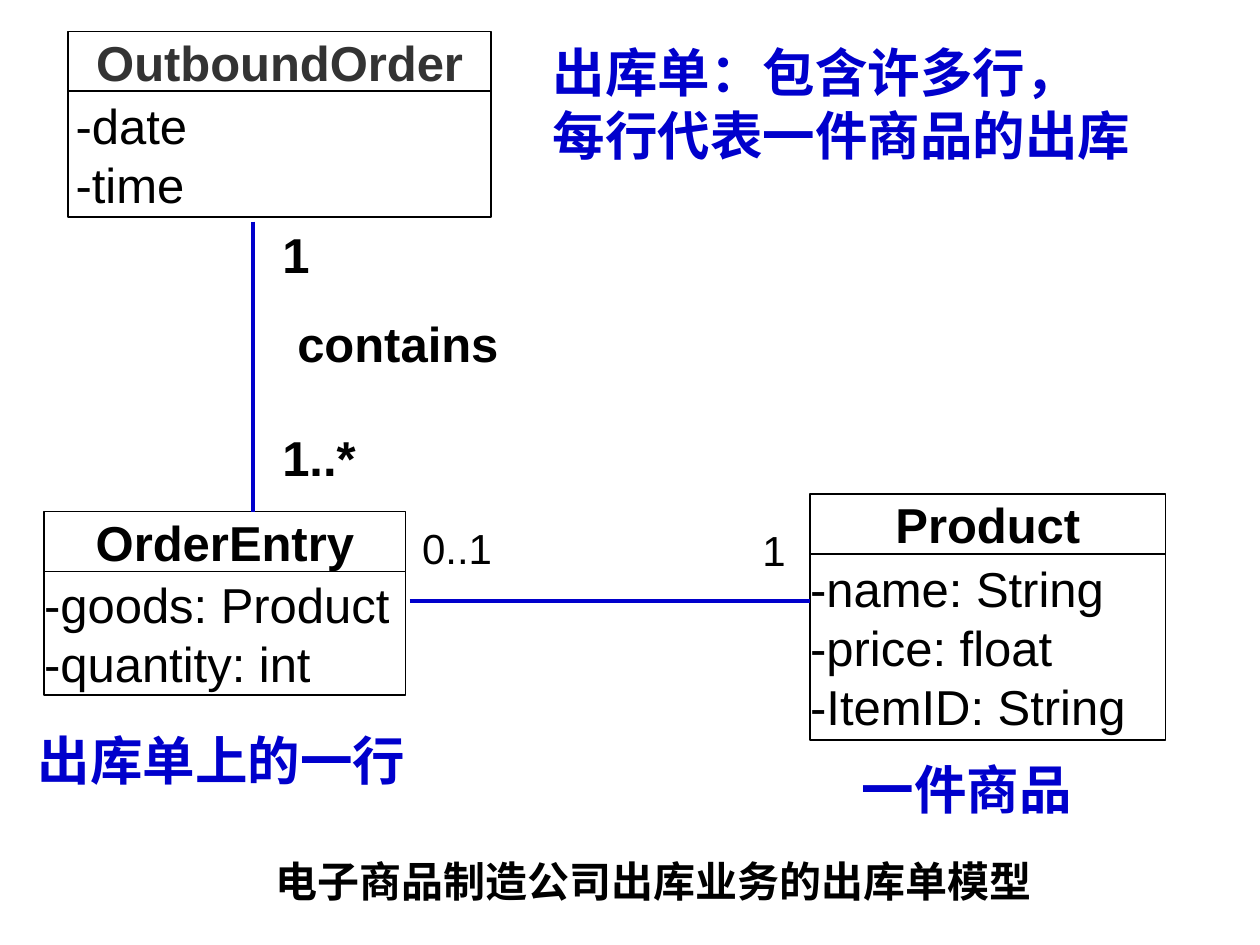
from lxml import etree
from pptx import Presentation
from pptx.enum import shapes, text
from pptx.oxml import ns
from pptx.util import Inches, Pt
from pptx.dml.color import RGBColor

COLORS = {"black": "000000", "gray": "333333", "blue": "0000CC", "white": "FFFFFF"}
LATIN, CHINESE = "Arial", "Noto Sans CJK SC"

deck = Presentation()
deck.slide_width, deck.slide_height = Inches(10), Inches(7.5)
slide = deck.slides.add_slide(deck.slide_layouts[6])


def add_text(content, left, top, width, height, size=28, bold=False, color="black",
             font=LATIN, boxed=True, outlined=False, centered=False, middle=True,
             grow=True, insets=(0, 0)):
    place = [Inches(value) for value in (left, top, width, height)]
    if boxed:
        box = slide.shapes.add_shape(shapes.MSO_SHAPE.RECTANGLE, *place)
        box.shadow.inherit = False
        box.fill.solid()
        box.fill.fore_color.rgb = RGBColor.from_string(COLORS["white"])
        if outlined:
            box.line.color.rgb = RGBColor.from_string(COLORS["black"])
            box.line.width = Pt(1)
        else:
            box.line.fill.background()
    else:
        box = slide.shapes.add_textbox(*place)
    frame = box.text_frame
    frame.word_wrap = boxed
    frame.auto_size = (text.MSO_AUTO_SIZE.SHAPE_TO_FIT_TEXT if grow
                       else text.MSO_AUTO_SIZE.NONE)
    frame.vertical_anchor = text.MSO_ANCHOR.MIDDLE if middle else text.MSO_ANCHOR.TOP
    if boxed:
        frame.margin_left = frame.margin_right = Inches(insets[0])
        frame.margin_top = frame.margin_bottom = Inches(insets[1])
    for index, line in enumerate(content.split("\n")):
        paragraph = frame.paragraphs[0] if index == 0 else frame.add_paragraph()
        paragraph.alignment = text.PP_ALIGN.CENTER if centered else text.PP_ALIGN.LEFT
        run = paragraph.add_run()
        run.text = line
        run.font.size, run.font.bold, run.font.name = Pt(size), bold, font
        run.font.color.rgb = RGBColor.from_string(COLORS[color])
        etree.SubElement(run.font._element, ns.qn("a:ea"), typeface=font)


classes = [
    ("OrderEntry", "-goods: Product\n-quantity: int", 0.35, 4.06, 2.87, 0.98, "black", (0, 0.02)),
    ("Product", "-name: String\n-price: float\n-ItemID: String", 6.43, 3.92, 2.82, 1.48, "black", (0, 0.03)),
    ("OutboundOrder", "-date\n-time", 0.54, 0.25, 3.36, 1, "gray", (0.06, 0.03)),
]
for name, attributes, left, top, width, height, color, insets in classes:
    add_text(name, left, top, width, 0.48, bold=True, color=color, outlined=True, centered=True)
    add_text(attributes, left, top + 0.475, width, height, outlined=True, insets=insets)

for ends in [(2.01, 1.76, 2.01, 4.06), (3.25, 4.77, 6.43, 4.77)]:
    association = slide.shapes.add_connector(
        shapes.MSO_CONNECTOR.STRAIGHT, *[Inches(value) for value in ends])
    association.line.color.rgb = RGBColor.from_string(COLORS["blue"])
    association.line.width = Pt(2)
    etree.SubElement(association._element.spPr, ns.qn("a:effectLst"))

labels = [
    ("1..*", 2.24, 3.39, 1.01, 0.51, 28),
    ("1", 2.24, 1.78, 0.28, 0.47, 28),
    ("1", 6.05, 4.16, 0.29, 0.39, 24),
    ("0..1", 3.35, 4.15, 0.95, 0.4, 24),
    ("contains", 2.36, 2.49, 1.7, 0.43, 28),
]
for label, left, top, width, height, size in labels:
    add_text(label, left, top, width, height, size=size, bold=size == 28,
             middle=False, grow=False)

add_text("电子商品制造公司出库业务的出库单模型", 2.09, 6.74, 6.26, 0.5, size=24, bold=True,
         font=CHINESE, boxed=False, middle=False)

notes = [
    ("出库单上的一行", 0.2, 5.72, 3.15, 0.61),
    ("一件商品", 6.74, 5.95, 1.88, 0.61),
    ("出库单：包含许多行，\n每行代表一件商品的出库", 4.29, 0.26, 4.83, 1.11),
]
for note, left, top, width, height in notes:
    add_text(note, left, top, width, height, size=30, bold=True, color="blue",
             font=CHINESE, boxed=False)

deck.save("out.pptx")
